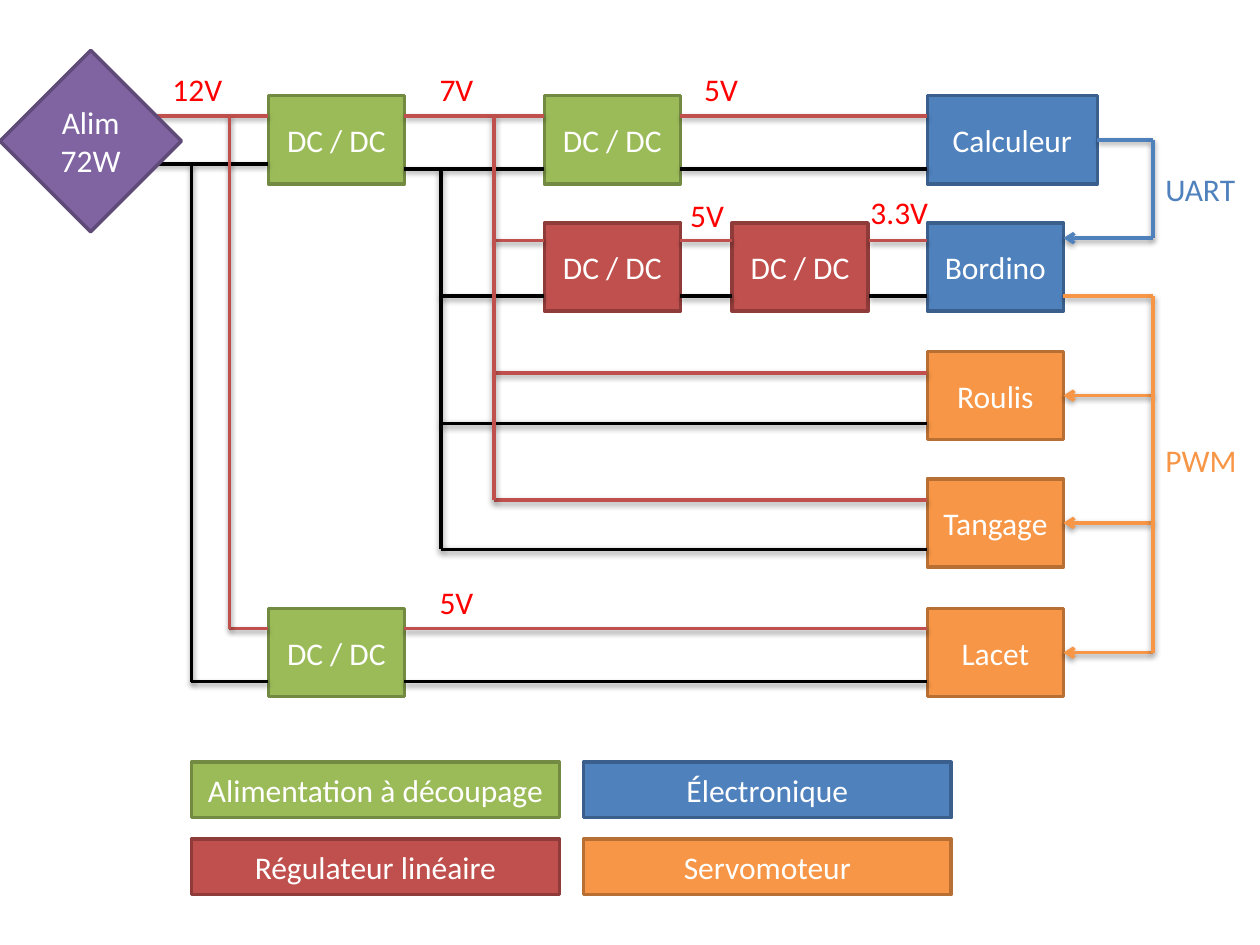
from collections import namedtuple

from lxml import etree
from pptx import Presentation
from pptx import util as u
from pptx.dml.color import RGBColor
from pptx.enum import shapes, text
from pptx.oxml import ns

PX = 9144
FONT = "Calibri"
FONT_SIZE = u.Pt(18)
LINE_WIDTH = u.Pt(2)

WHITE = RGBColor(0xFF, 0xFF, 0xFF)
BLACK = RGBColor(0x00, 0x00, 0x00)
LABEL_RED = RGBColor(0xFF, 0x00, 0x00)
GREEN = RGBColor(0x9B, 0xBB, 0x59)
GREEN_EDGE = RGBColor(0x73, 0x8A, 0x42)
RED = RGBColor(0xC0, 0x50, 0x4D)
RED_EDGE = RGBColor(0x8E, 0x3B, 0x39)
BLUE = RGBColor(0x4F, 0x81, 0xBD)
BLUE_EDGE = RGBColor(0x3A, 0x5F, 0x8C)
ORANGE = RGBColor(0xF7, 0x96, 0x46)
ORANGE_EDGE = RGBColor(0xB7, 0x6F, 0x34)
PURPLE = RGBColor(0x80, 0x64, 0xA2)
PURPLE_EDGE = RGBColor(0x5F, 0x4A, 0x78)

SWITCHING = (GREEN, GREEN_EDGE)
LINEAR = (RED, RED_EDGE)
ELECTRONICS = (BLUE, BLUE_EDGE)
SERVO = (ORANGE, ORANGE_EDGE)
SUPPLY = (PURPLE, PURPLE_EDGE)

BLOCK_WIDTH, BLOCK_HEIGHT = 108, 70
ROWS = (0, 101, 203, 304, 407)

Box = namedtuple("Box", "left top width height")


def px(value):
    return u.Emu(value * PX)


def inside(box, left, top, width, height):
    return Box(box.left + left, box.top + top, width, height)


def format_text(frame, colour, alignment):
    for paragraph in frame.paragraphs:
        paragraph.alignment = alignment
        for run in paragraph.runs:
            run.font.name = FONT
            run.font.size = FONT_SIZE
            run.font.color.rgb = colour


def add_block(slide, box, words, colours, kind=shapes.MSO_SHAPE.RECTANGLE):
    fill, edge = colours
    shape = slide.shapes.add_shape(kind, *map(px, box))
    shape.shadow.inherit = False
    shape.fill.solid()
    shape.fill.fore_color.rgb = fill
    shape.line.color.rgb = edge
    shape.line.width = LINE_WIDTH
    frame = shape.text_frame
    frame.text = words
    frame.word_wrap = True
    frame.vertical_anchor = text.MSO_ANCHOR.MIDDLE
    format_text(frame, WHITE, text.PP_ALIGN.CENTER)
    return shape


def add_label(slide, box, words, colour):
    frame = slide.shapes.add_textbox(*map(px, box)).text_frame
    frame.text = words
    frame.word_wrap = True
    frame.auto_size = text.MSO_AUTO_SIZE.SHAPE_TO_FIT_TEXT
    format_text(frame, colour, text.PP_ALIGN.LEFT)


def add_wire(slide, box, ends, colour, arrow=False):
    x1, y1, x2, y2 = ends
    connector = slide.shapes.add_connector(
        shapes.MSO_CONNECTOR.STRAIGHT,
        px(box.left + x1), px(box.top + y1), px(box.left + x2), px(box.top + y2))
    connector.line.color.rgb = colour
    connector.line.width = LINE_WIDTH
    if arrow:
        etree.SubElement(connector.line._get_or_add_ln(), ns.qn("a:tailEnd"), type="arrow")
    effects = etree.SubElement(connector._element.spPr, ns.qn("a:effectLst"))
    shadow = etree.SubElement(effects, ns.qn("a:outerShdw"), blurRad="40000",
                              dist="20000", dir="5400000", rotWithShape="0")
    tint = etree.SubElement(shadow, ns.qn("a:srgbClr"), val=str(BLACK))
    etree.SubElement(tint, ns.qn("a:alpha"), val="38000")
    return connector


def add_converters(slide, box):
    for left, row, colours in ((0, 0, SWITCHING), (0, 4, SWITCHING), (219, 0, SWITCHING),
                               (219, 1, LINEAR), (368, 1, LINEAR)):
        place = inside(box, left, ROWS[row], BLOCK_WIDTH, BLOCK_HEIGHT)
        add_block(slide, place, "DC / DC", colours)


def add_loads(slide, box):
    loads = (("Calculeur", ELECTRONICS, box.width), ("Bordino", ELECTRONICS, BLOCK_WIDTH),
             ("Roulis", SERVO, BLOCK_WIDTH), ("Tangage", SERVO, BLOCK_WIDTH),
             ("Lacet", SERVO, BLOCK_WIDTH))
    return [add_block(slide, inside(box, 0, top, width, BLOCK_HEIGHT), words, colours)
            for top, (words, colours, width) in zip(ROWS, loads)]


def add_power_wires(slide, box):
    end = box.width
    black_runs = ((219, 42, 330), (438, 42, end), (248, 143, 330), (438, 143, 479),
                  (588, 143, end), (248, 244, end), (248, 344, end), (219, 449, end),
                  (0, 38, 111), (50, 449, 111))
    red_runs = ((438, 0, end), (219, 0, 330), (438, 99, 479), (588, 99, end),
                (290, 99, 330), (290, 204, end), (290, 305, end), (219, 407, end),
                (0, 0, 111), (80, 407, 111))
    black_drops = ((248, 344, 42), (50, 449, 38))
    red_drops = ((290, 305, 0), (80, 407, 0))
    for colour, runs, drops in ((BLACK, black_runs, black_drops), (RED, red_runs, red_drops)):
        for start, y, stop in runs:
            add_wire(slide, box, (start, y, stop, y), colour)
        for x, bottom, top in drops:
            add_wire(slide, box, (x, bottom, x, top), colour)


def add_voltages(slide, box):
    for words, left, top, width in (("12V", 0, 0, 85), ("7V", 212, 0, 64), ("5V", 422, 0, 64),
                                    ("5V", 411, 100, 64), ("3.3V", 554, 97, 86),
                                    ("5V", 212, 407, 64)):
        add_label(slide, inside(box, left, top, width, 40), words, LABEL_RED)


def add_signals(slide, box, loads):
    bus, bottom = box.width, box.height
    computer, servos = loads[0], loads[2:]
    for servo, y in zip(servos, ROWS[2:]):
        arrow = add_wire(slide, box, (bus, y, 0, y), ORANGE, True)
        arrow.end_connect(servo, 3)
    add_wire(slide, box, (0, 124, bus, 124), ORANGE)
    add_wire(slide, box, (bus, bottom, bus, 124), ORANGE)
    output = add_wire(slide, box, (27, 0, bus, 0), BLUE)
    output.begin_connect(computer, 3)
    add_wire(slide, box, (bus, 0, bus, 78), BLUE)
    add_wire(slide, box, (bus, 78, 0, 78), BLUE, True)
    add_label(slide, inside(box, bus, 234, 98, 40), "PWM", ORANGE)
    add_label(slide, inside(box, bus, 19, 106, 40), "UART", BLUE)


def add_legend(slide, box):
    entries = (("Alimentation à découpage", SWITCHING), ("Électronique", ELECTRONICS),
               ("Régulateur linéaire", LINEAR), ("Servomoteur", SERVO))
    width, height = 292, 44
    for index, (words, colours) in enumerate(entries):
        row, column = divmod(index, 2)
        place = inside(box, column * (box.width - width), row * (box.height - height),
                       width, height)
        add_block(slide, place, words, colours)


def add_supply(slide, box):
    add_block(slide, box, "Alim\n72W", SUPPLY, shapes.MSO_SHAPE.DIAMOND)


def main():
    presentation = Presentation()
    presentation.slide_width = px(1000)
    presentation.slide_height = px(750)
    slide = presentation.slides.add_slide(presentation.slide_layouts[6])
    add_converters(slide, Box(213, 76, 476, 477))
    loads = add_loads(slide, Box(736, 76, 135, 477))
    add_power_wires(slide, Box(102, 92, 634, 449))
    add_voltages(slide, Box(127, 51, 640, 447))
    add_signals(slide, Box(844, 111, 71, 407), loads)
    add_legend(slide, Box(152, 605, 603, 105))
    add_supply(slide, Box(0, 40, 144, 144))
    presentation.save("out.pptx")


if __name__ == "__main__":
    main()
